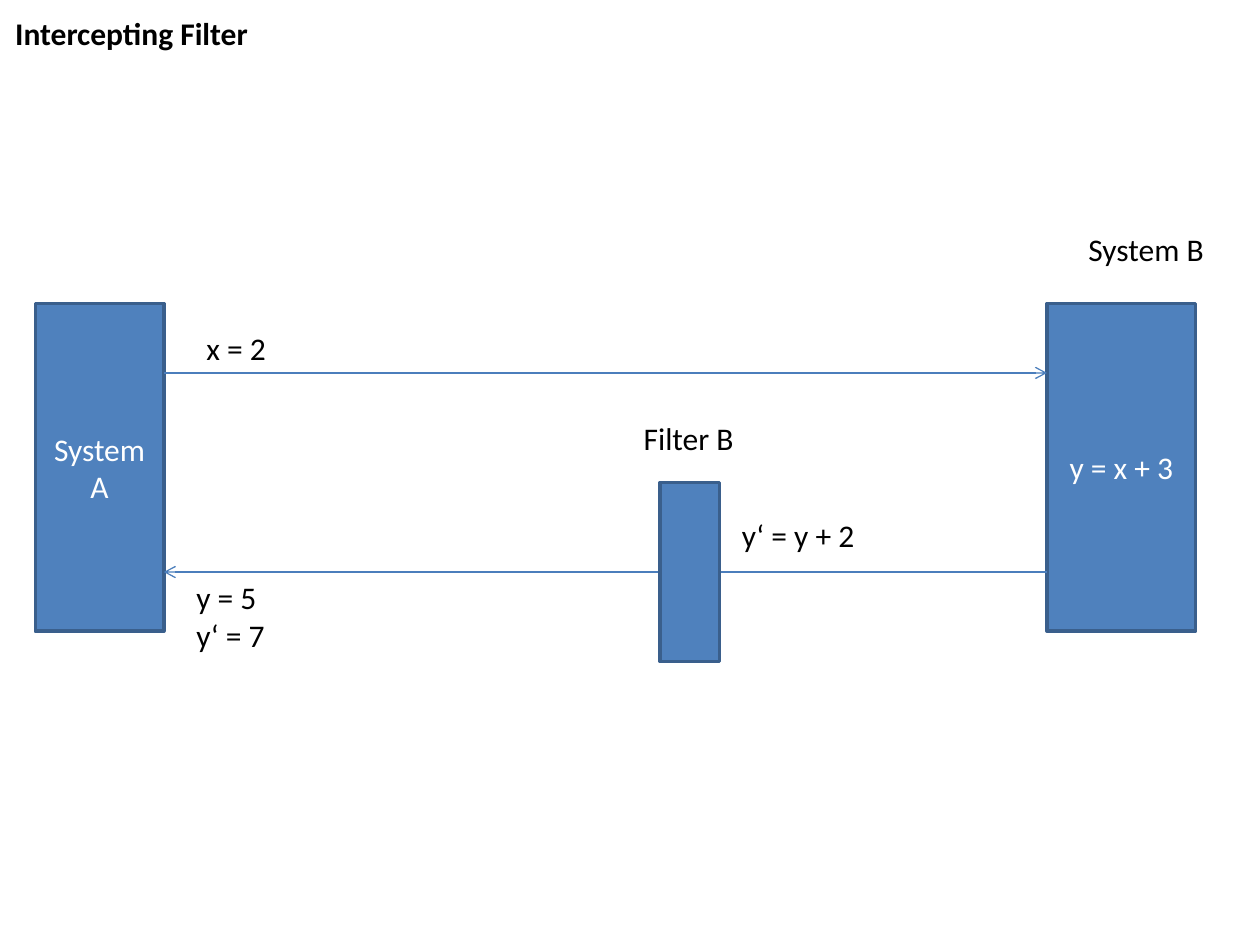
from lxml import etree
from pptx import Presentation
from pptx.dml.color import RGBColor
from pptx.enum.shapes import MSO_CONNECTOR, MSO_SHAPE
from pptx.enum.text import MSO_ANCHOR, MSO_AUTO_SIZE, PP_ALIGN
from pptx.oxml.ns import qn
from pptx.util import Inches, Pt

RECTANGLE = MSO_SHAPE.RECTANGLE
STRAIGHT = MSO_CONNECTOR.STRAIGHT
TOP, MIDDLE = MSO_ANCHOR.TOP, MSO_ANCHOR.MIDDLE
LEFT, CENTER = PP_ALIGN.LEFT, PP_ALIGN.CENTER
FIT_SHAPE = MSO_AUTO_SIZE.SHAPE_TO_FIT_TEXT

FONT, SIZE = "Calibri", 18
BLACK, WHITE = "000000", "FFFFFF"
BOX_FILL, BOX_LINE, ARROW_LINE = "4F81BD", "3A5F8C", "4B7EBC"

# Content: positions are left, top, width, height in inches
TITLE = ("Intercepting Filter", (0.02, 0.06, 2.06, 0.4))
SYSTEM_A = (0.28, 2.41, 1.02, 2.6)
SYSTEM_B = (8.31, 2.41, 1.18, 2.6)
FILTER_B = (5.24, 3.83, 0.47, 1.42)
BOXES = [("y = x + 3", SYSTEM_B), ("System A", SYSTEM_A)]
LABELS = [
    (["System B"], (8.54, 1.78, 1.13, 0.4)),
    (["x = 2"], (1.54, 2.56, 0.68, 0.4)),
    (["y = 5", "y‘ = 7"], (1.46, 4.54, 0.75, 0.71)),
    (["Filter B"], (5.01, 3.28, 0.92, 0.4)),
    (["y‘ = y + 2"], (5.79, 4.05, 1.11, 0.4)),
]
A_EDGE, B_EDGE = SYSTEM_A[0] + SYSTEM_A[2], SYSTEM_B[0]
MESSAGES = [(A_EDGE, B_EDGE, 2.96), (B_EDGE, A_EDGE, 4.54)]  # from, to, height


def color(hex_value):
    return RGBColor.from_string(hex_value)


def inches(values):
    return [Inches(value) for value in values]


def write(frame, lines, text_color, align=LEFT, anchor=TOP, bold=False):
    frame.vertical_anchor = anchor
    for index, line in enumerate(lines):
        paragraph = frame.add_paragraph() if index else frame.paragraphs[0]
        paragraph.alignment = align
        run = paragraph.add_run()
        run.text = line
        run.font.name, run.font.size = FONT, Pt(SIZE)
        run.font.bold = bold
        run.font.color.rgb = color(text_color)


def fit_to_text(frame):
    frame.word_wrap = False
    frame.auto_size = FIT_SHAPE


def add_box(position, text=None):
    box = slide.shapes.add_shape(RECTANGLE, *inches(position))
    box.shadow.inherit = False
    box.fill.solid()
    box.fill.fore_color.rgb = color(BOX_FILL)
    box.line.color.rgb = color(BOX_LINE)
    box.line.width = Pt(2)
    if text:
        write(box.text_frame, [text], WHITE, CENTER, MIDDLE)


def add_message(start, end, height):
    arrow = slide.shapes.add_connector(STRAIGHT, *inches((start, height, end, height)))
    arrow.line.color.rgb = color(ARROW_LINE)
    arrow.line.width = Pt(0.75)
    etree.SubElement(arrow.line._get_or_add_ln(), qn("a:tailEnd"), type="arrow")
    etree.SubElement(arrow._element.spPr, qn("a:effectLst"))


presentation = Presentation()
presentation.slide_width, presentation.slide_height = Inches(10), Inches(7.5)
slide = presentation.slides.add_slide(presentation.slide_layouts[5])

# Title
title_text, title_position = TITLE
title = slide.shapes.title
title.left, title.top, title.width, title.height = inches(title_position)
write(title.text_frame, [title_text], BLACK, bold=True)
fit_to_text(title.text_frame)

# Systems, messages between them, and the filter on the way back
for text, position in BOXES:
    add_box(position, text)
for message in MESSAGES:
    add_message(*message)
add_box(FILTER_B)

# Labels
for lines, position in LABELS:
    label = slide.shapes.add_textbox(*inches(position))
    write(label.text_frame, lines, BLACK)
    fit_to_text(label.text_frame)

presentation.save("out.pptx")
